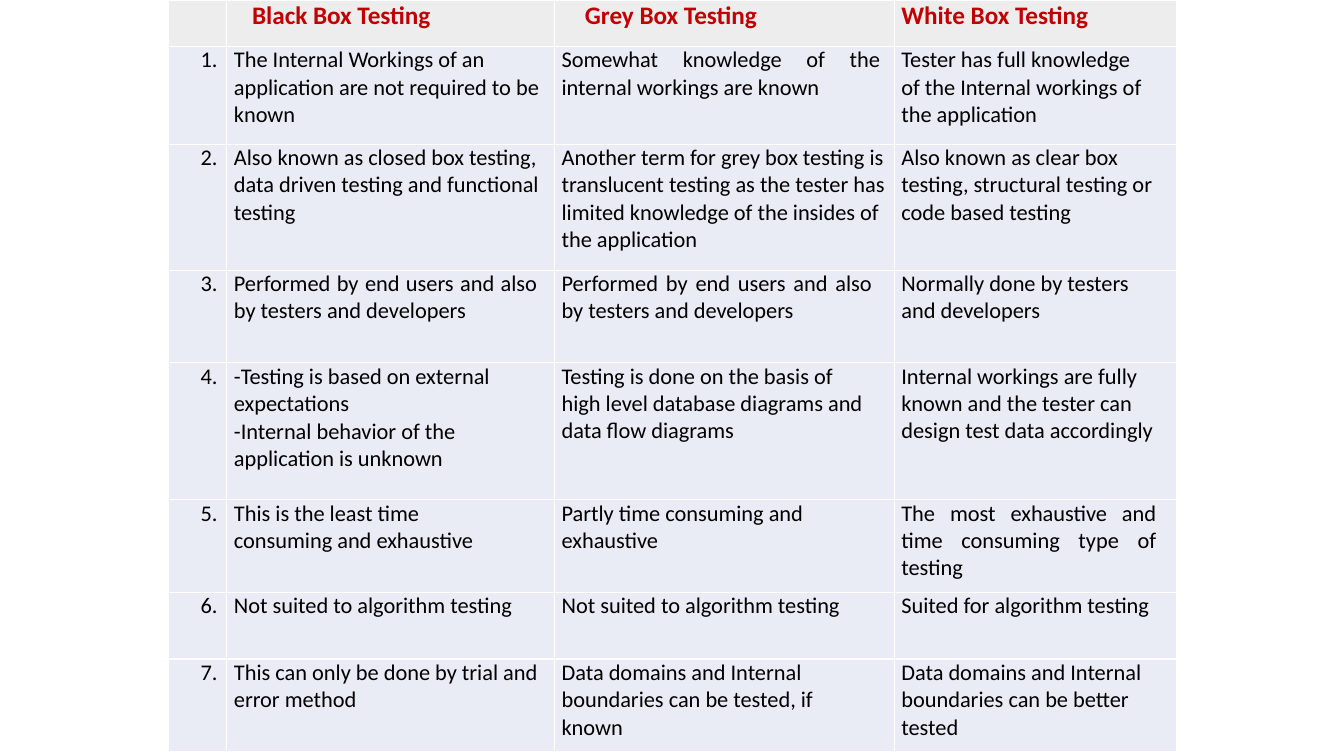
"""Build a slide with a table comparing black, grey and white box testing."""
from dataclasses import dataclass

from lxml import etree
from pptx import Presentation
from pptx.dml.color import RGBColor
from pptx.enum.text import PP_ALIGN
from pptx.oxml.ns import qn
from pptx.util import Inches, Pt

LEFT = PP_ALIGN.LEFT
JUSTIFY = PP_ALIGN.JUSTIFY


@dataclass(frozen=True)
class Theme:
    font: str = "Calibri"
    heading: str = "C00000"
    text: str = "000000"
    header_fill: str = "EDEDED"
    body_fill: str = "E9EBF5"
    border: str = "FFFFFF"
    heading_size: int = 18
    body_size: int = 16
    border_width: int = 1
    space_before: float = 0.3


THEME = Theme()


def write_text(cell, text, indent=0.07, right=0, align=LEFT,
               size=THEME.body_size, color=THEME.text, bold=False):
    cell.margin_left = cell.margin_top = cell.margin_bottom = 0
    cell.margin_right = Inches(right)
    cell.text = text
    for paragraph in cell.text_frame.paragraphs:
        paragraph._p.get_or_add_pPr().set("marL", str(Inches(indent)))
        paragraph.alignment = align
        paragraph.space_before = Pt(THEME.space_before)
        paragraph.font.size = Pt(size)
        for run in paragraph.runs:
            run.font.name = THEME.font
            run.font.size = Pt(size)
            run.font.bold = bold
            run.font.color.rgb = RGBColor.from_string(color)


def paint_cell(cell, fill):
    properties = cell._tc.get_or_add_tcPr()
    for side in ("a:lnL", "a:lnR", "a:lnT", "a:lnB"):
        line = etree.SubElement(properties, qn(side), w=str(Pt(THEME.border_width)))
        solid = etree.SubElement(line, qn("a:solidFill"))
        etree.SubElement(solid, qn("a:srgbClr"), val=THEME.border)
    cell.fill.solid()
    cell.fill.fore_color.rgb = RGBColor.from_string(fill)


column_widths = [0.58, 3.25, 3.37, 2.8]
row_heights = [0.46, 0.97, 1.25, 0.92, 1.36, 0.92, 0.66, 0.92]
headings = [("", 0), ("Black Box Testing", 0.25),
            ("Grey Box Testing", 0.3), ("White Box Testing", 0.07)]
comparisons = [
    [("The Internal Workings of an application are not required to be known", 0, LEFT),
     ("Somewhat knowledge of the internal workings are known", 0.14, JUSTIFY),
     ("Tester has full knowledge of the Internal workings of the application", 0.3, LEFT)],
    [("Also known as closed box testing, data driven testing and functional testing", 0, LEFT),
     ("Another term for grey box testing is translucent testing as the tester has "
      "limited knowledge of the insides of the application", 0, LEFT),
     ("Also known as clear box testing, structural testing or code based testing", 0, LEFT)],
    [("Performed by end users and also by testers and developers", 0.17, JUSTIFY),
     ("Performed by end users and also by testers and developers", 0.22, JUSTIFY),
     ("Normally done by testers and developers", 0.3, LEFT)],
    [("-Testing is based on external expectations\n"
      "-Internal behavior of the application is unknown", 0.3, LEFT),
     ("Testing is done on the basis of high level database diagrams and "
      "data flow diagrams", 0.27, LEFT),
     ("Internal workings are fully known and the tester can "
      "design test data accordingly", 0, LEFT)],
    [("This is the least time consuming and exhaustive", 0.6, LEFT),
     ("Partly time consuming and exhaustive", 0.2, LEFT),
     ("The most exhaustive and time consuming type of testing", 0.2, JUSTIFY)],
    [("Not suited to algorithm testing", 0, LEFT),
     ("Not suited to algorithm testing", 0, LEFT),
     ("Suited for algorithm testing", 0, LEFT)],
    [("This can only be done by trial and error method", 0, LEFT),
     ("Data domains and Internal boundaries can be tested, if known", 0.4, LEFT),
     ("Data domains and Internal boundaries can be better tested", 0.2, LEFT)],
]

presentation = Presentation()
presentation.slide_width = Inches(13.33)
presentation.slide_height = Inches(7.5)
slide = presentation.slides.add_slide(presentation.slide_layouts[6])

table = slide.shapes.add_table(
    len(row_heights), len(column_widths), Inches(1.67), Inches(0),
    Inches(sum(column_widths)), Inches(sum(row_heights))).table
table.first_row = False
table.horz_banding = False
for column, width in zip(table.columns, column_widths):
    column.width = Inches(width)
for row, height in zip(table.rows, row_heights):
    row.height = Inches(height)

for column, (heading, indent) in enumerate(headings):
    cell = table.cell(0, column)
    write_text(cell, heading, indent=indent, size=THEME.heading_size,
               color=THEME.heading, bold=True)
    paint_cell(cell, THEME.header_fill)

for number, statements in enumerate(comparisons, start=1):
    write_text(table.cell(number, 0), f"{number}.", indent=0.32)
    paint_cell(table.cell(number, 0), THEME.body_fill)
    for column, (statement, right, align) in enumerate(statements, start=1):
        cell = table.cell(number, column)
        write_text(cell, statement, right=right, align=align)
        paint_cell(cell, THEME.body_fill)

presentation.save("out.pptx")
